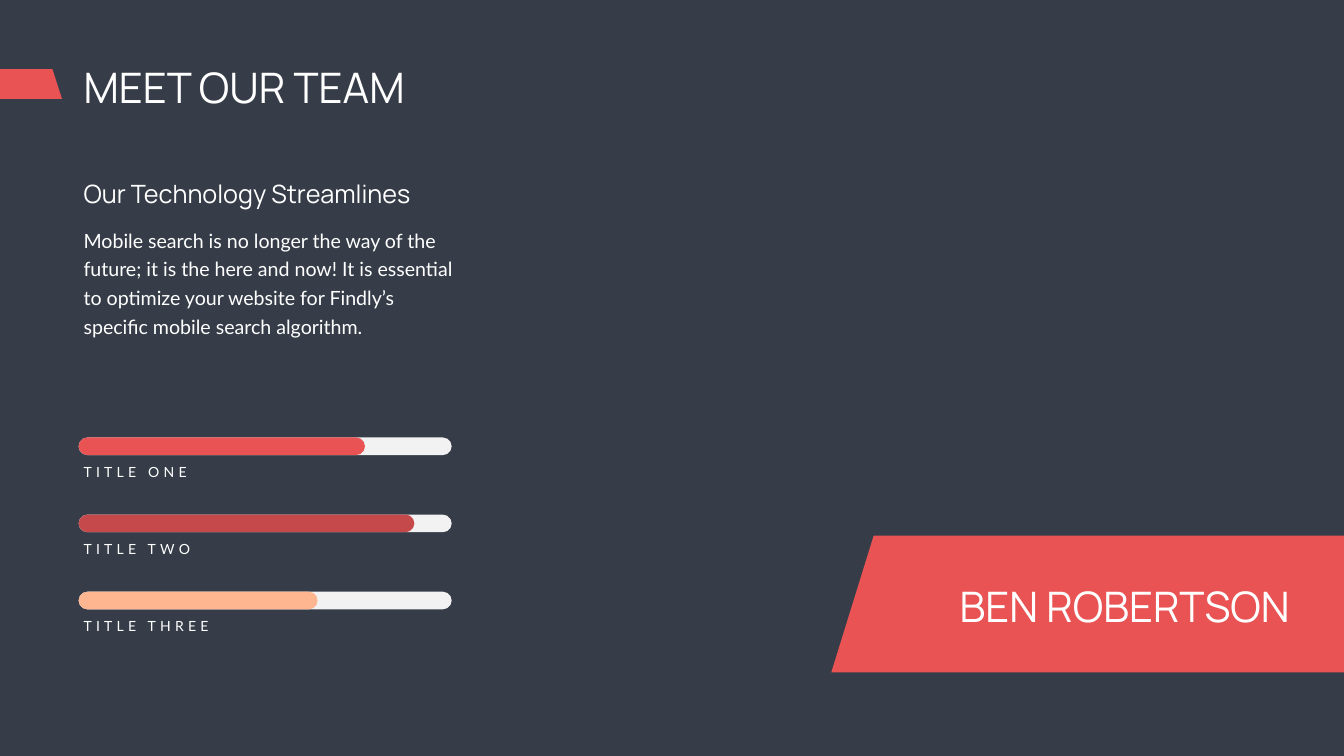
from dataclasses import dataclass

from pptx import Presentation
from pptx.dml.color import RGBColor as RGB
from pptx.enum.shapes import MSO_SHAPE as Shape
from pptx.enum.text import MSO_ANCHOR as Anchor, PP_ALIGN as Align
from pptx.shapes.autoshape import Shape as Auto
from pptx.slide import Slide
from pptx.util import Inches, Pt


@dataclass(frozen=True)
class Theme:
    back: str = "363D48"
    text: str = "FFFFFF"
    red: str = "E95354"
    dark: str = "C5494B"
    peach: str = "FEB691"
    track: str = "F2F2F2"
    head: str = "Manrope"
    body: str = "Lato"
    title: float = 60
    sub: float = 36
    copy: float = 28
    label: float = 20
    lead: float = 40.8
    track_gap: float = 6


@dataclass(frozen=True)
class Note:
    text: str
    box: tuple[float, float, float, float]
    font: str
    size: float
    align: Align = Align.LEFT
    anchor: Anchor = Anchor.TOP
    lead: float | None = None
    gap: float = 0


@dataclass(frozen=True)
class Skill:
    name: str
    width: float
    color: str


THEME = Theme()
WIDTH, HEIGHT = 26.66, 15
LEFT, COLUMN = 1.56, 7.4
BAR_TOP, BAR_HEIGHT, PITCH, DROP = 8.68, 0.35, 1.53, 0.47

NOTES = (
    Note("MEET OUR TEAM", (LEFT, 1.16, 7.44, 1.11), THEME.head, THEME.title,
         anchor=Anchor.MIDDLE),
    Note("Our Technology Streamlines", (LEFT, 3.53, COLUMN, 0.68), THEME.head,
         THEME.sub, lead=THEME.lead),
    Note("Mobile search is no longer the way of the future; it is the here and "
         "now! It is essential to optimize your website for Findly’s specific "
         "mobile search algorithm.", (LEFT, 4.39, 7.54, 2.34), THEME.body,
         THEME.copy, lead=THEME.lead),
    Note("BEN ROBERTSON", (17.97, 11.46, 7.71, 1.11), THEME.head, THEME.title,
         align=Align.RIGHT, anchor=Anchor.MIDDLE),
)
SKILLS = (
    Skill("TITLE ONE", 5.68, THEME.red),
    Skill("TITLE TWO", 6.66, THEME.dark),
    Skill("TITLE THREE", 4.74, THEME.peach),
)
TAB = ((1.04, 1.37), (0, 1.37), (0, 1.96), (1.23, 1.96))
BANNER = ((17.33, 10.63), (WIDTH, 10.63), (WIDTH, 13.34), (16.49, 13.34))


def paint(shape: Auto, color: str) -> None:
    shape.shadow.inherit = False
    shape.fill.solid()
    shape.fill.fore_color.rgb = RGB.from_string(color)
    shape.line.fill.background()


def add_note(slide: Slide, note: Note) -> None:
    frame = slide.shapes.add_textbox(*map(Inches, note.box)).text_frame
    frame.word_wrap = True
    frame.vertical_anchor = note.anchor
    para = frame.paragraphs[0]
    para.alignment = note.align
    if note.lead:
        para.line_spacing = Pt(note.lead)
    run = para.add_run()
    run.text = note.text
    run.font.name = note.font
    run.font.size = Pt(note.size)
    run.font.color.rgb = RGB.from_string(THEME.text)
    if note.gap:
        run._r.get_or_add_rPr().set("spc", str(round(note.gap * 100)))


def add_panel(slide: Slide, points: tuple[tuple[float, float], ...]) -> None:
    start, *rest = [(Inches(x), Inches(y)) for x, y in points]
    pen = slide.shapes.build_freeform(*start)
    pen.add_line_segments(rest, close=True)
    paint(pen.convert_to_shape(), THEME.red)


def add_skill(slide: Slide, skill: Skill, top: float) -> None:
    """Draw a full track, the filled part over it and the label below."""
    for width, color in ((COLUMN, THEME.track), (skill.width, skill.color)):
        bar = slide.shapes.add_shape(
            Shape.ROUNDED_RECTANGLE, Inches(LEFT), Inches(top),
            Inches(width), Inches(BAR_HEIGHT))
        bar.adjustments[0] = 0.5
        paint(bar, color)
    add_note(slide, Note(skill.name, (LEFT, top + DROP, 3.31, 0.44), THEME.body,
                         THEME.label, gap=THEME.track_gap))


def main() -> None:
    deck = Presentation()
    deck.slide_width, deck.slide_height = Inches(WIDTH), Inches(HEIGHT)
    slide = deck.slides.add_slide(deck.slide_layouts[6])
    slide.background.fill.solid()
    slide.background.fill.fore_color.rgb = RGB.from_string(THEME.back)
    for points in (TAB, BANNER):
        add_panel(slide, points)
    for note in NOTES:
        add_note(slide, note)
    for row, skill in enumerate(SKILLS):
        add_skill(slide, skill, BAR_TOP + row * PITCH)
    deck.save("out.pptx")


if __name__ == "__main__":
    main()
